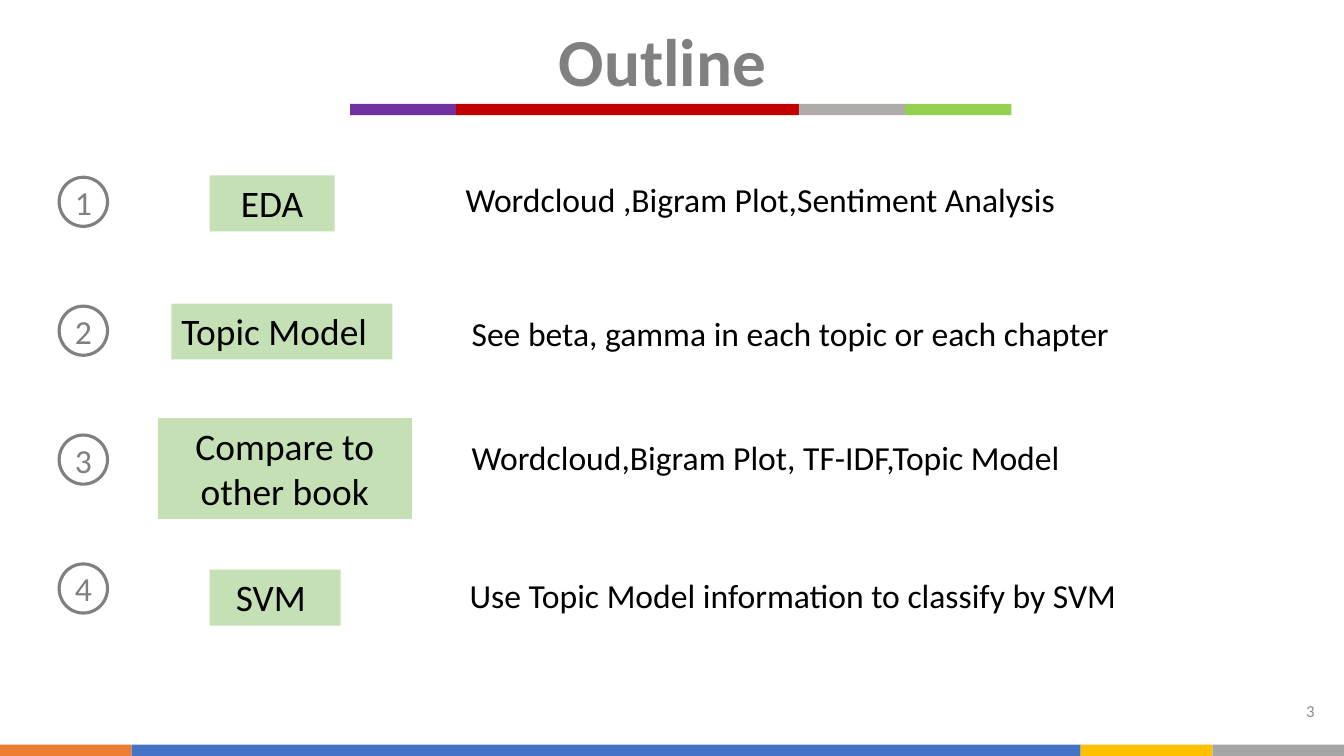
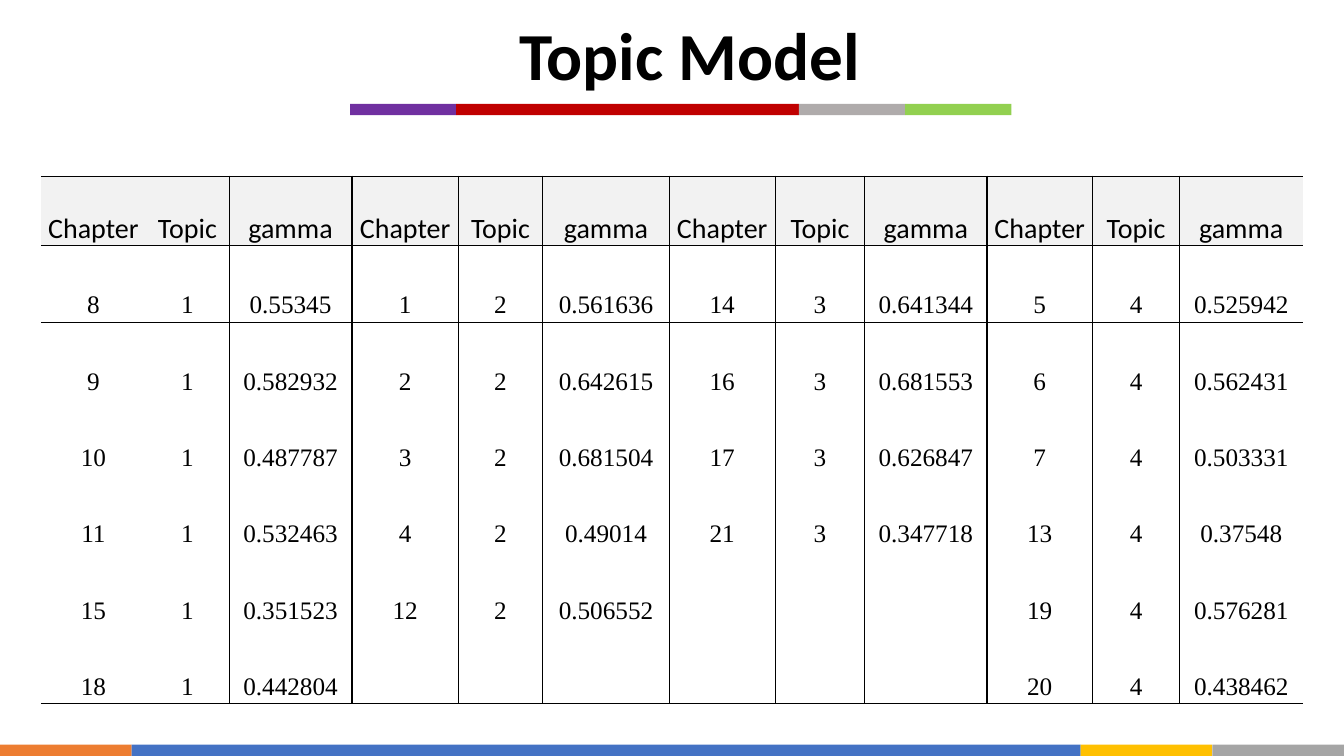
from itertools import zip_longest

from lxml import etree
from pptx import Presentation
from pptx import util as u
from pptx.dml.color import RGBColor
from pptx.enum import shapes, text
from pptx.oxml import ns

# Shared look
COLORS = {
    "black": "000000", "white": "FFFFFF", "grey": "808080", "number": "8C8C8C",
    "label": "C5E0B4", "header": "F2F2F2",
    "orange": "ED7D31", "blue": "4472C4", "gold": "FFC000", "silver": "A5A5A5",
    "purple": "7030A0", "red": "C00000", "stone": "AFABAB", "green": "92D050",
}
BODY_FONT, NUMBER_FONT = "Calibri", "Times New Roman"
WIDTH, HEIGHT = u.Inches(13.333), u.Inches(7.5)
BAND_HEIGHT = 1.5
# Bands: left, top, then (colour, width) of each segment, in percent
FOOTER = (0, 98.5, [("orange", 9.8), ("blue", 70.6), ("gold", 9.8), ("silver", 9.8)])
TITLE_RULE = (26.05, 13.75, [("purple", 7.9), ("red", 25.5), ("stone", 7.9), ("green", 7.9)])
NO_GRID_STYLE = "{2D5ABB26-0587-4C30-8999-92F81FD0307C}"
LEFT, CENTER, RIGHT = text.PP_ALIGN.LEFT, text.PP_ALIGN.CENTER, text.PP_ALIGN.RIGHT

# Outline: label, its box and alignment, description and its left and top
OUTLINE = [
    ("EDA", (15.6, 23.2, 9.3, 7.4), CENTER,
     "Wordcloud ,Bigram Plot,Sentiment Analysis", (33.9, 23.05)),
    ("Topic Model", (12.75, 40.15, 16.45, 7.4), LEFT,
     "See beta, gamma in each topic or each chapter", (34.35, 40.8)),
    ("Compare to other book", (11.75, 55.3, 18.9, 13.35), CENTER,
     "Wordcloud,Bigram Plot, TF-IDF,Topic Model", (34.35, 57.2)),
    ("SVM ", (15.6, 75.35, 9.75, 7.4), CENTER,
     "Use Topic Model information to classify by SVM", (34.2, 75.35)),
]

# Chapters and their gamma, one list per topic
TOPICS = [
    [("8", "0.55345"), ("9", "0.582932"), ("10", "0.487787"),
     ("11", "0.532463"), ("15", "0.351523"), ("18", "0.442804")],
    [("1", "0.561636"), ("2", "0.642615"), ("3", "0.681504"),
     ("4", "0.49014"), ("12", "0.506552")],
    [("14", "0.641344"), ("16", "0.681553"), ("17", "0.626847"), ("21", "0.347718")],
    [("5", "0.525942"), ("6", "0.562431"), ("7", "0.503331"),
     ("13", "0.37548"), ("19", "0.576281"), ("20", "0.438462")],
]
COLUMN_WIDTHS = [7.8, 6.2, 9.15, 7.9, 6.3, 9.4, 7.9, 6.65, 9.1, 7.85, 6.5, 9.15]
HEADER_HEIGHT, ROW_HEIGHT = 9.05, 10.1


def color(name):
    return RGBColor.from_string(COLORS[name])


def across(percent):
    return u.Emu(round(WIDTH * percent / 100))


def down(percent):
    return u.Emu(round(HEIGHT * percent / 100))


def place(left, top, width, height):
    return across(left), down(top), across(width), down(height)


def set_margins(target, left, top, right, bottom):
    target.margin_left, target.margin_top = u.Inches(left), u.Inches(top)
    target.margin_right, target.margin_bottom = u.Inches(right), u.Inches(bottom)


def write(frame, words, size, ink="black", align=LEFT, font=BODY_FONT, bold=False):
    paragraph = frame.paragraphs[0]
    paragraph.text = words
    paragraph.alignment = align
    paragraph.font.name = font
    paragraph.font.size = u.Pt(size)
    paragraph.font.bold = bold
    paragraph.font.color.rgb = color(ink)
    return paragraph


def add_filled(slide, kind, box, fill, line=None):
    shape = slide.shapes.add_shape(kind, *place(*box))
    shape.shadow.inherit = False
    shape.fill.solid()
    shape.fill.fore_color.rgb = color(fill)
    if line:
        shape.line.color.rgb = color(line)
        shape.line.width = u.Pt(2.25)
    else:
        shape.line.fill.background()
    shape.text_frame.vertical_anchor = text.MSO_ANCHOR.TOP
    return shape


def add_text(slide, box, words, size, ink="black", align=LEFT, margin=None):
    frame = slide.shapes.add_textbox(*place(*box)).text_frame
    frame.word_wrap = True
    if margin is not None:
        set_margins(frame, *[margin] * 4)
    write(frame, words, size, ink, align)


def add_band(slide, left, top, segments):
    """Draw a row of coloured segments and hand it over to the slide's layout."""
    tree = slide.slide_layout.shapes.element
    for fill, width in segments:
        box = (left, top, width, BAND_HEIGHT)
        shape = add_filled(slide, shapes.MSO_SHAPE.RECTANGLE, box, fill)
        used = [int(number) for number in tree.xpath(".//p:cNvPr/@id")]
        shape.element.xpath("./p:nvSpPr/p:cNvPr")[0].set("id", str(max(used) + 1))
        tree.append(shape.element)
        left += width


def set_title(slide, words, box, ink):
    title = slide.shapes.title
    title.left, title.top, title.width, title.height = place(*box)
    frame = title.text_frame
    frame.word_wrap = True
    frame.auto_size = text.MSO_AUTO_SIZE.NONE
    frame.vertical_anchor = text.MSO_ANCHOR.TOP
    set_margins(frame, *[0.13] * 4)
    write(frame, words, 48, ink, bold=True)


def set_borders(cell, sides):
    properties = cell._tc.get_or_add_tcPr()
    for side in "LRTB":
        if side in sides:
            line = etree.SubElement(properties, ns.qn(f"a:ln{side}"), w=str(u.Pt(1)))
            fill = etree.SubElement(line, ns.qn("a:solidFill"))
            etree.SubElement(fill, ns.qn("a:srgbClr"), val=COLORS["black"])


def cell_sides(row, column, last_row, last_column):
    """Rules stand on both sides of gamma, round the header and at the foot."""
    sides = ""
    if column % 3 != 1 and column > 0:
        sides += "L"
    if column % 3 != 0 and column < last_column:
        sides += "R"
    if row <= 1:
        sides += "T"
    if row in (0, last_row):
        sides += "B"
    return sides


def fill_cell(cell, words, is_header, sides):
    set_borders(cell, sides)
    if is_header:
        cell.fill.solid()
        cell.fill.fore_color.rgb = color("header")
    else:
        cell.fill.background()
    cell.vertical_anchor = text.MSO_ANCHOR.MIDDLE
    set_margins(cell, 0.01, 0.01, 0.01, 0)
    if words:
        size, font = (20, BODY_FONT) if is_header else (18, NUMBER_FONT)
        paragraph = write(cell.text_frame, words, size, align=CENTER, font=font)
        paragraph.line_spacing = 2.0 if is_header else 2.5


def topic_rows():
    rows = [["Chapter", "Topic", "gamma"] * len(TOPICS)]
    for entries in zip_longest(*TOPICS):
        row = []
        for topic, entry in enumerate(entries, 1):
            row += [entry[0], str(topic), entry[1]] if entry else [""] * 3
        rows.append(row)
    return rows


def add_gamma_table(slide, left, top):
    rows = topic_rows()
    heights = [HEADER_HEIGHT] + [ROW_HEIGHT] * (len(rows) - 1)
    box = place(left, top, sum(COLUMN_WIDTHS), sum(heights))
    table = slide.shapes.add_table(len(rows), len(COLUMN_WIDTHS), *box).table
    table.first_row = table.horz_banding = False
    table._tbl.tblPr.find(ns.qn("a:tableStyleId")).text = NO_GRID_STYLE
    for column, width in zip(table.columns, COLUMN_WIDTHS):
        column.width = across(width)
    for row, height in zip(table.rows, heights):
        row.height = down(height)
    for r, values in enumerate(rows):
        for c, words in enumerate(values):
            sides = cell_sides(r, c, len(rows) - 1, len(values) - 1)
            fill_cell(table.cell(r, c), words, r == 0, sides)


def add_outline_row(slide, index, label, box, align, description, corner):
    # Numbered circle
    circle_box = (4.4, 23.45 + 17.05 * index, 3.6, 6.5)
    circle = add_filled(slide, shapes.MSO_SHAPE.OVAL, circle_box, "white", "grey")
    frame = circle.text_frame
    frame.vertical_anchor = text.MSO_ANCHOR.MIDDLE
    set_margins(frame, 0, 0, 0, 0)
    write(frame, str(index + 1), 24, "grey", CENTER)
    # Label and description
    tag = add_filled(slide, shapes.MSO_SHAPE.RECTANGLE, box, "label")
    write(tag.text_frame, label, 26.7, align=align)
    add_text(slide, (*corner, 58.35, 6.7), description, 24)


def main():
    presentation = Presentation()
    presentation.slide_width, presentation.slide_height = WIDTH, HEIGHT
    layout = presentation.slide_layouts[5]

    # Outline
    slide = presentation.slides.add_slide(layout)
    for band in (FOOTER, TITLE_RULE):
        add_band(slide, *band)
    set_title(slide, "Outline", (40.6, 0.8, 18.9, 13.75), "grey")
    for index, item in enumerate(OUTLINE):
        add_outline_row(slide, index, *item)
    add_text(slide, (92.8, 91.35, 6, 6.15), "3", 12, "number", RIGHT, 0.13)

    # Topic model
    slide = presentation.slides.add_slide(layout)
    set_title(slide, "Topic Model", (37.65, 0, 28.8, 13.75), "black")
    add_gamma_table(slide, 3.05, 23.3)

    presentation.save("out.pptx")


if __name__ == "__main__":
    main()
